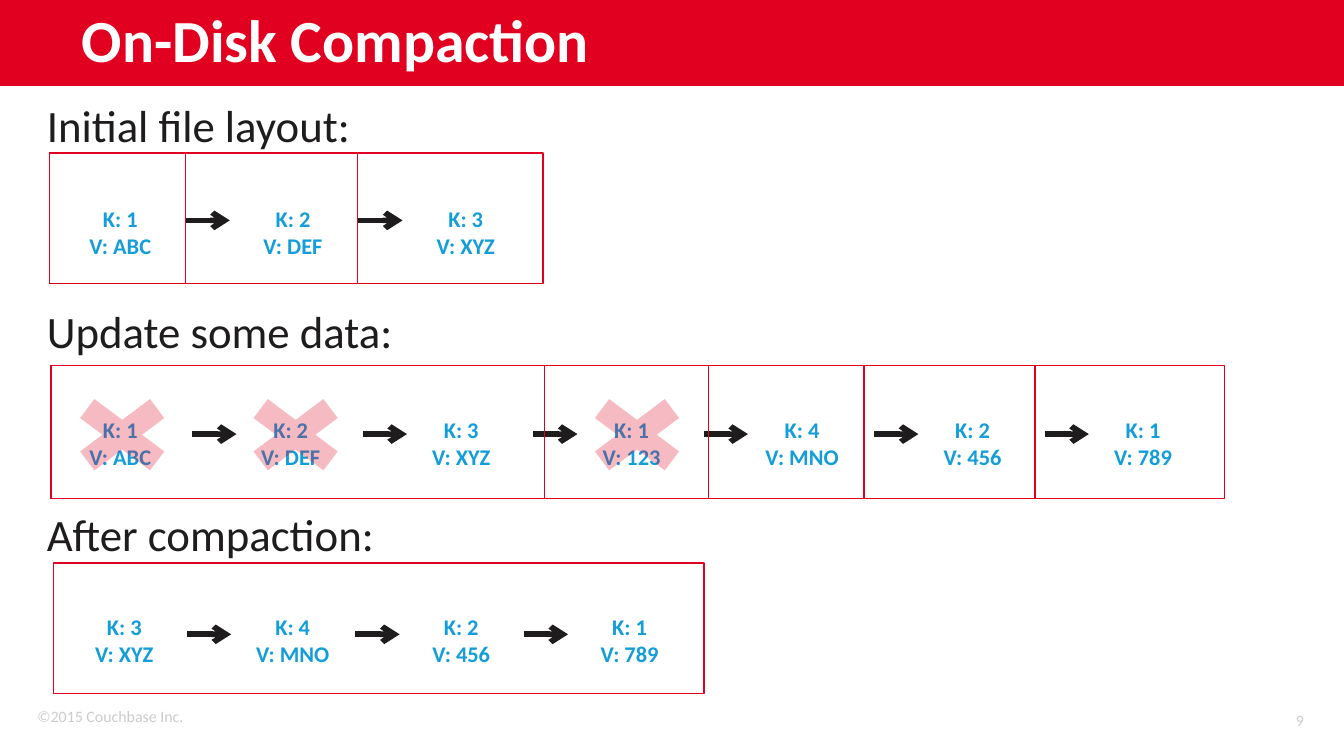
from lxml import etree
from pptx import Presentation
from pptx.dml.color import RGBColor
from pptx.enum.shapes import MSO_CONNECTOR, MSO_SHAPE
from pptx.enum.text import MSO_ANCHOR, PP_ALIGN
from pptx.oxml.ns import qn
from pptx.util import Inches, Pt

RECT, CROSS = MSO_SHAPE.RECTANGLE, MSO_SHAPE.MATH_MULTIPLY
STRAIGHT = MSO_CONNECTOR.STRAIGHT
TOP, MIDDLE, BOTTOM = MSO_ANCHOR.TOP, MSO_ANCHOR.MIDDLE, MSO_ANCHOR.BOTTOM
LEFT, CENTER, RIGHT = PP_ALIGN.LEFT, PP_ALIGN.CENTER, PP_ALIGN.RIGHT
BANNER = RGBColor(0xE1, 0x00, 0x1F)
RED = RGBColor(0xE1, 0x00, 0x21)
INK = RGBColor(0x1E, 0x1C, 0x1C)
BLUE = RGBColor(0x13, 0x9D, 0xD9)
GREY = RGBColor(0xCC, 0xCC, 0xCC)
WHITE = RGBColor(0xFF, 0xFF, 0xFF)
FONT = "Calibri"
WIDTH = 10
HEIGHT = WIDTH * 9 / 16
RECORD_W, RECORD_H = 0.85, 0.4
ARROW_W = 0.33
CROSS_W, CROSS_H = 1, 0.75

ROWS = [
    dict(heading="Initial file layout:", heading_top=0.68,
         left=0.37, top=1.14, height=0.97, frames=[3.67, 2.29, 1.01],
         first=0.47, last=3.04, record_top=1.53,
         arrow_left=1.38, arrow_y=1.64, stale=[],
         records=[("1", "ABC"), ("2", "DEF"), ("3", "XYZ")]),
    dict(heading="Update some data:", heading_top=2.21,
         left=0.38, top=2.72, height=0.99,
         frames=[3.67, 4.89, 6.05, 7.32, 8.73],
         first=0.47, last=8.08, record_top=3.1,
         arrow_left=1.43, arrow_y=3.23, stale=[0.41, 1.7, 4.24],
         records=[("1", "ABC"), ("2", "DEF"), ("3", "XYZ"), ("1", "123"),
                  ("4", "MNO"), ("2", "456"), ("1", "789")]),
    dict(heading="After compaction:", heading_top=3.72,
         left=0.4, top=4.19, height=0.97, frames=[4.84],
         first=0.5, last=4.26, record_top=4.56,
         arrow_left=1.39, arrow_y=4.72, stale=[],
         records=[("3", "XYZ"), ("4", "MNO"), ("2", "456"), ("1", "789")]),
]


def add_text(s, box, lines, size, color, bold=False, align=LEFT,
             anchor=TOP, margin=None, wrap=True, spacing=None):
    """Add a text box with one paragraph per line."""
    tf = s.shapes.add_textbox(*map(Inches, box)).text_frame
    tf.word_wrap = wrap
    tf.vertical_anchor = anchor
    if margin is not None:
        tf.margin_left = tf.margin_right = Inches(margin)
        tf.margin_top = tf.margin_bottom = Inches(margin)
    for i, line in enumerate(lines):
        p = tf.add_paragraph() if i else tf.paragraphs[0]
        p.alignment = align
        if spacing:
            p.line_spacing = spacing
        r = p.add_run()
        r.text = line
        r.font.name, r.font.size, r.font.bold = FONT, Pt(size), bold
        r.font.color.rgb = color


def add_solid(s, kind, box, color, opacity=100):
    """Add a filled shape without outline."""
    sp = s.shapes.add_shape(kind, *map(Inches, box))
    sp.shadow.inherit = False
    sp.fill.solid()
    sp.fill.fore_color.rgb = color
    sp.line.fill.background()
    if opacity < 100:
        clr = sp._element.spPr.find(qn("a:solidFill"))[0]
        etree.SubElement(clr, qn("a:alpha"), val=str(opacity * 1000))


def add_frame(s, box):
    """Add an unfilled red rectangle."""
    sp = s.shapes.add_shape(RECT, *map(Inches, box))
    sp.shadow.inherit = False
    sp.fill.background()
    sp.line.color.rgb = RED
    sp.line.width = Pt(0.75)


def add_arrow(s, x, y):
    """Add a horizontal arrow pointing right."""
    c = s.shapes.add_connector(STRAIGHT, Inches(x), Inches(y),
                               Inches(x + ARROW_W), Inches(y))
    c.line.color.rgb = INK
    c.line.width = Pt(3)
    ln = c._element.spPr.find(qn("a:ln"))
    etree.SubElement(ln, qn("a:tailEnd"), type="arrow")
    etree.SubElement(c._element.spPr, qn("a:effectLst"))


def add_row(s, row):
    """Add one file layout with its heading, records, arrows and frames."""
    add_text(s, (0.25, row["heading_top"], 0.6 * WIDTH, 0.5),
             [row["heading"]], 24, INK)
    gaps = len(row["records"]) - 1
    pitch = (row["last"] - row["first"]) / gaps
    for i in range(gaps):
        add_arrow(s, row["arrow_left"] + i * pitch, row["arrow_y"])
    for i, (key, value) in enumerate(row["records"]):
        add_text(s, (row["first"] + i * pitch, row["record_top"],
                     RECORD_W, RECORD_H),
                 [f"K: {key}", f"V: {value}"], 12, BLUE, bold=True,
                 align=CENTER, margin=0)
    for x in row["stale"]:
        add_solid(s, CROSS, (x, row["top"] + 0.14, CROSS_W, CROSS_H), RED, 27)
    for width in row["frames"]:
        add_frame(s, (row["left"], row["top"], width, row["height"]))


def main():
    """Build the slide and save it."""
    prs = Presentation()
    prs.slide_width, prs.slide_height = Inches(WIDTH), Inches(HEIGHT)
    s = prs.slides.add_slide(prs.slide_layouts[6])
    add_solid(s, RECT, (0, 0, WIDTH, 0.64), BANNER)
    add_text(s, (0.18, 5.21, 1.29, 0.24), ["©2015 Couchbase Inc."],
             8.5, GREY, wrap=False)
    add_text(s, (8.99, 5.21, 0.81, 0.3), ["9"], 8.5, GREY,
             align=RIGHT, anchor=MIDDLE)
    add_text(s, (0.51, 0.01, 8.75, 0.59), ["On-Disk Compaction"], 32, WHITE,
             bold=True, anchor=BOTTOM, spacing=0.8)
    for row in ROWS:
        add_row(s, row)
    prs.save("out.pptx")


if __name__ == "__main__":
    main()
